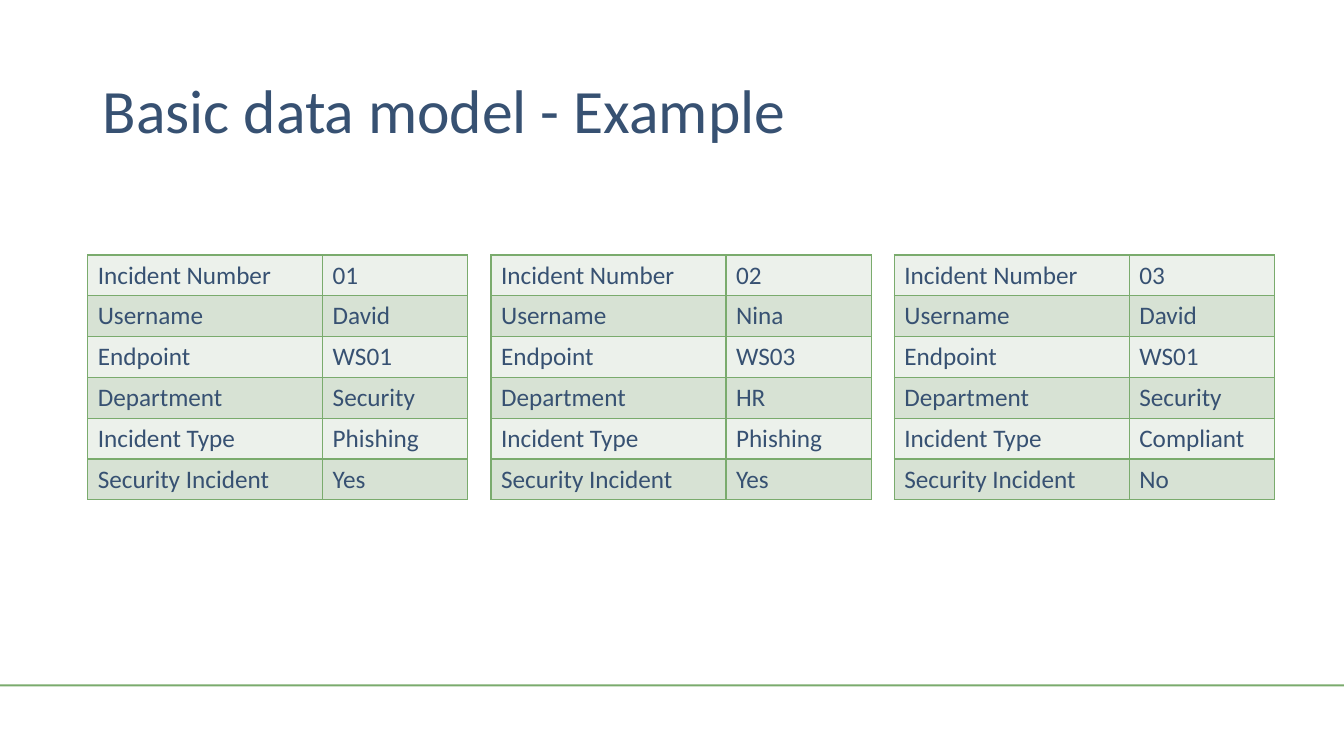
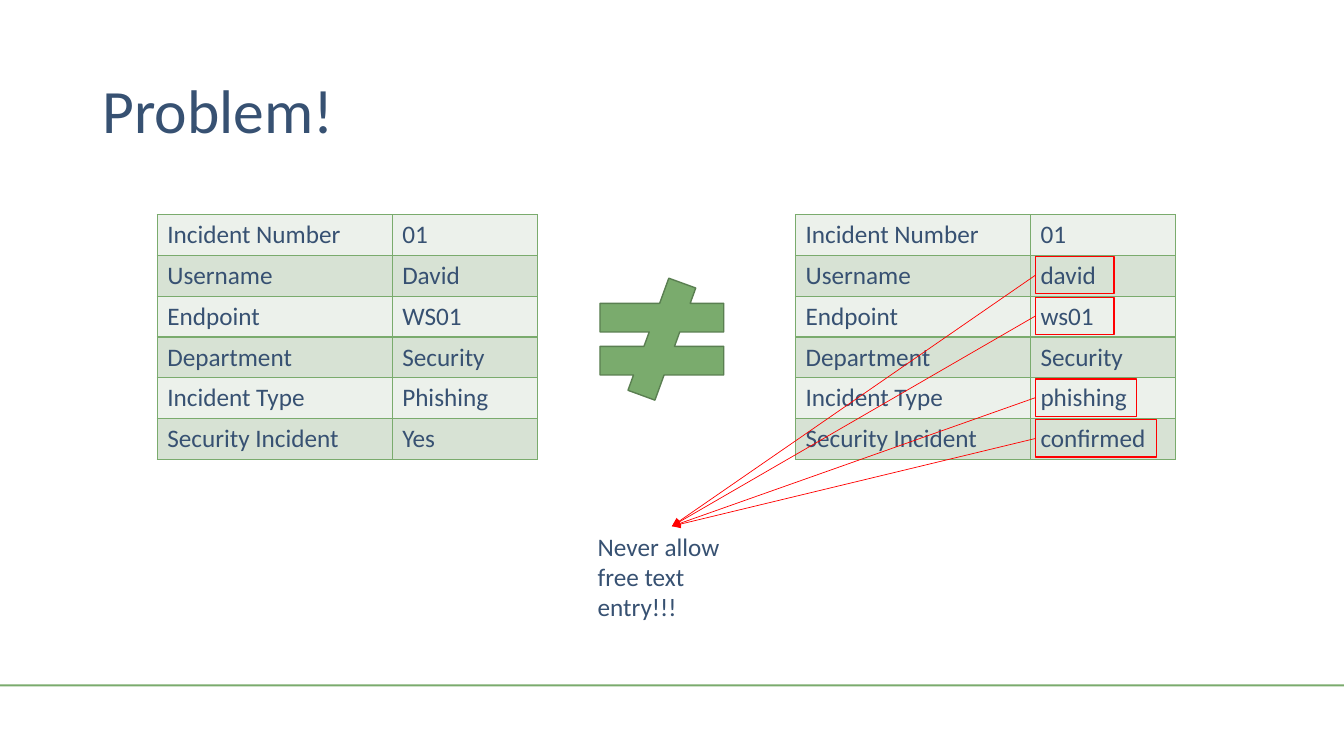
"""Build two slides on a basic incident data model and its free-text problem."""
from dataclasses import dataclass

from lxml import etree
from pptx import Presentation
from pptx.dml.color import RGBColor
from pptx.enum.shapes import MSO_CONNECTOR, MSO_SHAPE
from pptx.enum.text import MSO_ANCHOR, MSO_AUTO_SIZE
from pptx.oxml.ns import qn
from pptx.presentation import Presentation as Deck
from pptx.shapes.autoshape import Shape
from pptx.slide import Slide
from pptx.table import _Cell
from pptx.text.text import TextFrame
from pptx.util import Inches, Pt

RECTANGLE = MSO_SHAPE.RECTANGLE
NOT_EQUAL = MSO_SHAPE.MATH_NOT_EQUAL
STRAIGHT = MSO_CONNECTOR.STRAIGHT
MIDDLE = MSO_ANCHOR.MIDDLE
TOP = MSO_ANCHOR.TOP
GROW = MSO_AUTO_SIZE.SHAPE_TO_FIT_TEXT
TOP_SIDE, LEFT_SIDE = 0, 1
BLANK_LAYOUT = 6


@dataclass(frozen=True)
class Theme:
    """Colours, font and type sizes of the deck."""
    font: str = "Calibri"
    text: str = "375172"
    background: str = "FFFFFF"
    accent: str = "7AAB6D"
    accent_dark: str = "5A7F51"
    alert: str = "FF0000"
    bands: tuple[str, str] = ("ECF1EB", "D7E2D4")
    title_size: float = 44
    body_size: float = 18
    line_width: float = 1
    arrow_width: float = 0.5


@dataclass(frozen=True)
class Area:
    """Position and size in inches."""
    left: float
    top: float
    width: float
    height: float

    def lengths(self) -> tuple[int, int, int, int]:
        """Return the four values as lengths."""
        return (Inches(self.left), Inches(self.top),
                Inches(self.width), Inches(self.height))


@dataclass(frozen=True)
class Incident:
    """Values of one incident card, in the order of FIELDS."""
    values: tuple[str, ...]
    left: float
    top: float


@dataclass(frozen=True)
class Flag:
    """Frame around a wrong value in a row of a card."""
    row: int
    width: float


THEME = Theme()
FIELDS = ("Incident Number", "Username", "Endpoint",
          "Department", "Incident Type", "Security Incident")
COLUMN_WIDTHS = (2.33, 1.44)
ROW_HEIGHT = 2.43 / len(FIELDS)
EXAMPLE_LEFT, EXAMPLE_TOP, EXAMPLE_STEP = 0.87, 2.53, 4
PROBLEM_TOP = 2.13

DAVID = ("01", "David", "WS01", "Security", "Phishing", "Yes")
EXAMPLES = (
    DAVID,
    ("02", "Nina", "WS03", "HR", "Phishing", "Yes"),
    ("03", "David", "WS01", "Security", "Compliant", "No"),
)
CLEAN = Incident(DAVID, 1.56, PROBLEM_TOP)
FREE_TEXT = Incident(("01", "david", "ws01", "Security", "phishing", "confirmed"),
                     7.89, PROBLEM_TOP)
FLAGS = (Flag(1, 0.78), Flag(2, 0.78), Flag(4, 1), Flag(5, 1.2))


def color(value: str) -> RGBColor:
    """Turn a hex value into a colour."""
    return RGBColor.from_string(value)


def write_text(frame: TextFrame, text: str, *, size: float = THEME.body_size,
               ink: str = THEME.text, anchor: MSO_ANCHOR = TOP,
               line_spacing: float = 1) -> None:
    """Write one formatted paragraph into a text frame."""
    frame.word_wrap = True
    frame.vertical_anchor = anchor
    para = frame.paragraphs[0]
    para.line_spacing = line_spacing
    span = para.add_run()
    span.text = text
    span.font.name = THEME.font
    span.font.size = Pt(size)
    span.font.color.rgb = color(ink)


def add_box(page: Slide, kind: MSO_SHAPE, area: Area, *, fill: str | None = None,
            line: str | None = None) -> Shape:
    """Add a flat preset shape."""
    box = page.shapes.add_shape(kind, *area.lengths())
    box.shadow.inherit = False
    if fill:
        box.fill.solid()
        box.fill.fore_color.rgb = color(fill)
    else:
        box.fill.background()
    if line:
        box.line.color.rgb = color(line)
        box.line.width = Pt(THEME.line_width)
    else:
        box.line.fill.background()
    return box


def add_page(deck: Deck, title: str) -> Slide:
    """Add a slide with its background, footer rule and title."""
    page = deck.slides.add_slide(deck.slide_layouts[BLANK_LAYOUT])
    page.background.fill.solid()
    page.background.fill.fore_color.rgb = color(THEME.background)
    add_box(page, RECTANGLE, Area(-0.01, 6.79, 13.35, 0.02), fill=THEME.accent)
    box = page.shapes.add_textbox(*Area(0.92, 0.4, 11.5, 1.45).lengths())
    write_text(box.text_frame, title, size=THEME.title_size, anchor=MIDDLE,
               line_spacing=0.9)
    return page


def style_cell(cell: _Cell, fill: str) -> None:
    """Give a cell its borders and fill."""
    properties = cell._tc.get_or_add_tcPr()
    for edge in ("a:lnL", "a:lnR", "a:lnT", "a:lnB"):
        border = etree.SubElement(properties, qn(edge), w=str(Pt(THEME.line_width)))
        paint = etree.SubElement(border, qn("a:solidFill"))
        etree.SubElement(paint, qn("a:srgbClr"), val=THEME.accent)
    cell.fill.solid()
    cell.fill.fore_color.rgb = color(fill)


def add_incident(page: Slide, incident: Incident) -> None:
    """Add an incident card as a two-column table."""
    area = Area(incident.left, incident.top, sum(COLUMN_WIDTHS),
                ROW_HEIGHT * len(FIELDS))
    table = page.shapes.add_table(len(FIELDS), len(COLUMN_WIDTHS),
                                  *area.lengths()).table
    table.first_row = False
    table.horz_banding = False
    for column, width in zip(table.columns, COLUMN_WIDTHS):
        column.width = Inches(width)
    for index, texts in enumerate(zip(FIELDS, incident.values)):
        table.rows[index].height = Inches(ROW_HEIGHT)
        for cell, text in zip(table.rows[index].cells, texts):
            style_cell(cell, THEME.bands[index % 2])
            write_text(cell.text_frame, text)


def add_arrow(page: Slide, source: Shape, target: Shape) -> None:
    """Join the left side of one box to the top of another with an arrow."""
    arrow = page.shapes.add_connector(STRAIGHT, 0, 0, 0, 0)
    arrow.begin_connect(source, LEFT_SIDE)
    arrow.end_connect(target, TOP_SIDE)
    arrow.line.color.rgb = color(THEME.alert)
    arrow.line.width = Pt(THEME.arrow_width)
    etree.SubElement(arrow.line._get_or_add_ln(), qn("a:tailEnd"), type="triangle")
    etree.SubElement(arrow._element.spPr, qn("a:effectLst"))


def build_example(deck: Deck) -> None:
    """Build the slide with three example incidents."""
    page = add_page(deck, "Basic data model - Example")
    for index, values in enumerate(EXAMPLES):
        left = EXAMPLE_LEFT + index * EXAMPLE_STEP
        add_incident(page, Incident(values, left, EXAMPLE_TOP))


def build_problem(deck: Deck) -> None:
    """Build the slide that contrasts clean and free-text values."""
    page = add_page(deck, "Problem!")
    for incident in (CLEAN, FREE_TEXT):
        add_incident(page, incident)
    left = FREE_TEXT.left + COLUMN_WIDTHS[0] + 0.05
    frames = [
        add_box(page, RECTANGLE,
                Area(left, PROBLEM_TOP + flag.row * ROW_HEIGHT + 0.01, flag.width, 0.37),
                line=THEME.alert)
        for flag in FLAGS
    ]
    add_box(page, NOT_EQUAL, Area(5.73, 2.76, 1.67, 1.21),
            fill=THEME.accent, line=THEME.accent_dark)
    warning = page.shapes.add_textbox(*Area(5.83, 5.22, 1.67, 1.01).lengths())
    write_text(warning.text_frame, "Never allow free text entry!!!")
    warning.text_frame.auto_size = GROW
    for frame in frames:
        add_arrow(page, frame, warning)


def main() -> None:
    """Build and save the deck."""
    deck = Presentation()
    deck.slide_width = Inches(13.33)
    deck.slide_height = Inches(7.5)
    build_example(deck)
    build_problem(deck)
    deck.save("out.pptx")


if __name__ == "__main__":
    main()
